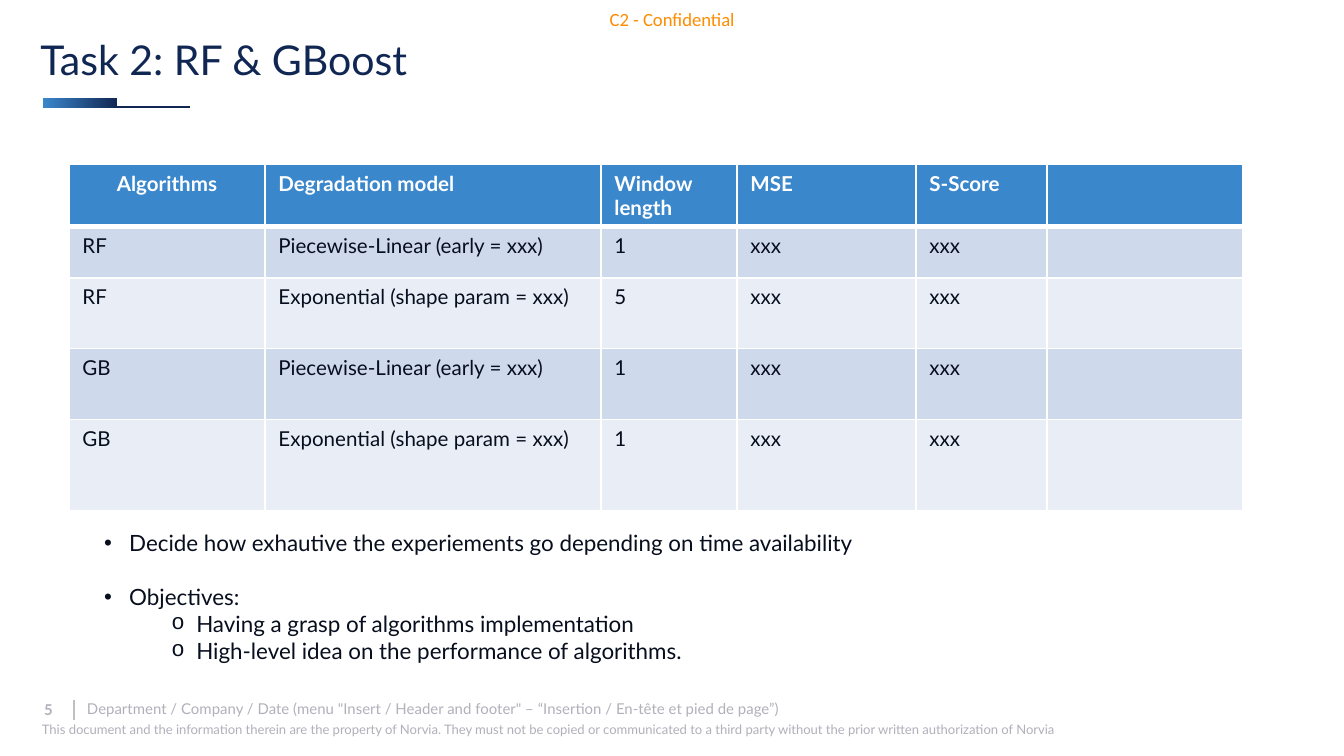
from lxml.etree import SubElement
from pptx import Presentation
from pptx.dml.color import RGBColor
from pptx.enum.shapes import MSO_CONNECTOR, MSO_SHAPE
from pptx.enum.text import MSO_ANCHOR, MSO_AUTO_SIZE, PP_ALIGN
from pptx.oxml.ns import qn
from pptx.util import Pt

PX = 914400 / 134.4
SLIDE_SIZE = (1344, 756)
COLORS = {
    "navy": "112753", "blue": "3B87CC", "ink": "070E1D", "white": "FFFFFF",
    "band_dark": "CED9EC", "band_light": "E8EDF6",
    "gray": "B1B0BB", "divider": "BFBFBF", "orange": "FF8C00",
}

TITLE = "Task 2: RF & GBoost"
TABLE_ROWS = [
    ("Algorithms", "Degradation model", "Window length", "MSE", "S-Score", ""),
    ("RF", "Piecewise-Linear (early = xxx)", "1", "xxx", "xxx", ""),
    ("RF", "Exponential (shape param = xxx)", "5", "xxx", "xxx", ""),
    ("GB", "Piecewise-Linear (early = xxx)", "1", "xxx", "xxx", ""),
    ("GB", "Exponential (shape param = xxx)", "1", "xxx", "xxx", ""),
]
TABLE_ORIGIN = (69, 164)
COLUMN_WIDTHS = (196, 336, 136, 179, 131, 196)
ROW_HEIGHTS = (62, 51, 71, 71, 91)

BULLETS = [
    ("•", 0, "Decide how exhautive the experiements go depending on time availability", 14.4),
    ("•", 0, "Objectives:", 0),
    ("o", 1, "Having a grasp of algorithms implementation", 0),
    ("o", 1, "High-level idea on the performance of algorithms.", 0),
]
BULLET_BOX = (91, 523, 1152, 176)
BULLET_HANG, LEVEL_INDENT = 25, 67

LABELS = [
    {"text": "This document and the information therein are the property of Norvia. "
             "They must not be copied or communicated to a third party without the "
             "prior written authorization of Norvia",
     "box": (42, 722, 1044, 16), "size": 7, "color": "gray"},
    {"text": "5", "box": (44, 701, 28, 18), "size": 8, "color": "gray",
     "bold": True, "anchor": MSO_ANCHOR.MIDDLE, "wrap": False},
    {"text": "C2 - Confidential", "box": (588, 0, 168, 39), "size": 10,
     "color": "orange", "font": "Calibri", "align": PP_ALIGN.CENTER,
     "anchor": MSO_ANCHOR.MIDDLE},
    {"text": "Department / Company / Date (menu \"Insert / Header and footer\" – "
             "“Insertion / En-tête et pied de page”)",
     "box": (74, 699, 986, 19), "size": 8, "color": "gray", "inset": 13,
     "anchor": MSO_ANCHOR.MIDDLE},
]
RULES = [
    ((74, 700), (74, 720), "divider", 0.75),
    ((43, 107), (190, 107), "navy", 1),
]
ACCENT_BAR = (43, 98, 74, 10)


def emu(*lengths):
    return [round(length * PX) for length in lengths]


def rgb(name):
    return RGBColor.from_string(COLORS[name])


def style(paragraph, size, color, bold=False, font="Lato"):
    for run in paragraph.runs:
        run.font.size, run.font.bold, run.font.name = Pt(size), bold, font
        run.font.color.rgb = rgb(color)


def add_rule(slide, start, end, color, width):
    rule = slide.shapes.add_connector(MSO_CONNECTOR.STRAIGHT, *emu(*start, *end))
    rule.line.color.rgb = rgb(color)
    rule.line.width = Pt(width)
    SubElement(rule._element.spPr, qn("a:effectLst"))


def add_label(slide, text, box, size, color, bold=False, font="Lato",
              align=PP_ALIGN.LEFT, anchor=MSO_ANCHOR.TOP, wrap=True, inset=0):
    frame = slide.shapes.add_textbox(*emu(*box)).text_frame
    frame.word_wrap, frame.vertical_anchor = wrap, anchor
    frame.margin_left, frame.margin_right = emu(inset, inset)
    frame.margin_top = frame.margin_bottom = 0
    frame.text = text
    frame.paragraphs[0].alignment = align
    style(frame.paragraphs[0], size, color, bold, font)


def add_accent_bar(slide):
    bar = slide.shapes.add_shape(MSO_SHAPE.RECTANGLE, *emu(*ACCENT_BAR))
    bar.shadow.inherit = False
    bar.line.fill.background()
    bar.fill.gradient()
    bar.fill.gradient_angle = 0
    for stop, color in zip(bar.fill.gradient_stops, ("blue", "navy")):
        stop.color.rgb = rgb(color)


def set_title(slide):
    title = slide.shapes.title
    title.left, title.top, title.width, title.height = emu(27, 28, 1258, 63)
    frame = title.text_frame
    frame.text = TITLE
    frame.auto_size, frame.vertical_anchor = MSO_AUTO_SIZE.NONE, MSO_ANCHOR.MIDDLE
    frame.paragraphs[0].alignment = PP_ALIGN.LEFT
    style(frame.paragraphs[0], 22, "navy")


def set_borders(cell, row):
    widths = {"L": 1, "R": 1, "T": 3 if row == 1 else 1, "B": 3 if row == 0 else 1}
    properties = cell._tc.get_or_add_tcPr()
    for side, width in widths.items():
        border = SubElement(properties, qn(f"a:ln{side}"), w=str(Pt(width)))
        fill = SubElement(border, qn("a:solidFill"))
        SubElement(fill, qn("a:srgbClr"), val=COLORS["white"])


def add_results_table(slide):
    box = emu(*TABLE_ORIGIN, sum(COLUMN_WIDTHS), sum(ROW_HEIGHTS))
    table = slide.shapes.add_table(len(TABLE_ROWS), len(COLUMN_WIDTHS), *box).table
    for column, width in zip(table.columns, emu(*COLUMN_WIDTHS)):
        column.width = width
    for row, height in zip(table.rows, emu(*ROW_HEIGHTS)):
        row.height = height
    for r, texts in enumerate(TABLE_ROWS):
        header = r == 0
        band = "blue" if header else ("band_light", "band_dark")[r % 2]
        for c, text in enumerate(texts):
            cell = table.cell(r, c)
            set_borders(cell, r)
            cell.fill.solid()
            cell.fill.fore_color.rgb = rgb(band)
            cell.text = text
            paragraph = cell.text_frame.paragraphs[0]
            style(paragraph, 11, "white" if header else "ink", header)
            if not text:
                SubElement(paragraph._p, qn("a:endParaRPr"), sz="1100")
    table.cell(0, 0).text_frame.paragraphs[0].alignment = PP_ALIGN.CENTER


def add_bullets(slide):
    frame = slide.shapes.add_textbox(*emu(*BULLET_BOX)).text_frame
    frame.word_wrap = True
    frame.text = "\n".join(text for _, _, text, _ in BULLETS)
    for paragraph, (mark, level, _, gap) in zip(frame.paragraphs, BULLETS):
        paragraph.level = level
        paragraph.space_after = Pt(gap)
        style(paragraph, 12, "ink")
        properties = paragraph._p.get_or_add_pPr()
        margin, hang = emu(BULLET_HANG + level * LEVEL_INDENT, BULLET_HANG)
        properties.set("marL", str(margin))
        properties.set("indent", str(-hang))
        SubElement(properties, qn("a:buFont"),
                   typeface="Courier New" if mark == "o" else "Arial")
        SubElement(properties, qn("a:buChar"), char=mark)


def main():
    deck = Presentation()
    deck.slide_width, deck.slide_height = emu(*SLIDE_SIZE)
    slide = deck.slides.add_slide(deck.slide_layouts[5])
    for rule in RULES:
        add_rule(slide, *rule)
    add_accent_bar(slide)
    for label in LABELS:
        add_label(slide, **label)
    set_title(slide)
    add_results_table(slide)
    add_bullets(slide)
    deck.save("out.pptx")


if __name__ == "__main__":
    main()
